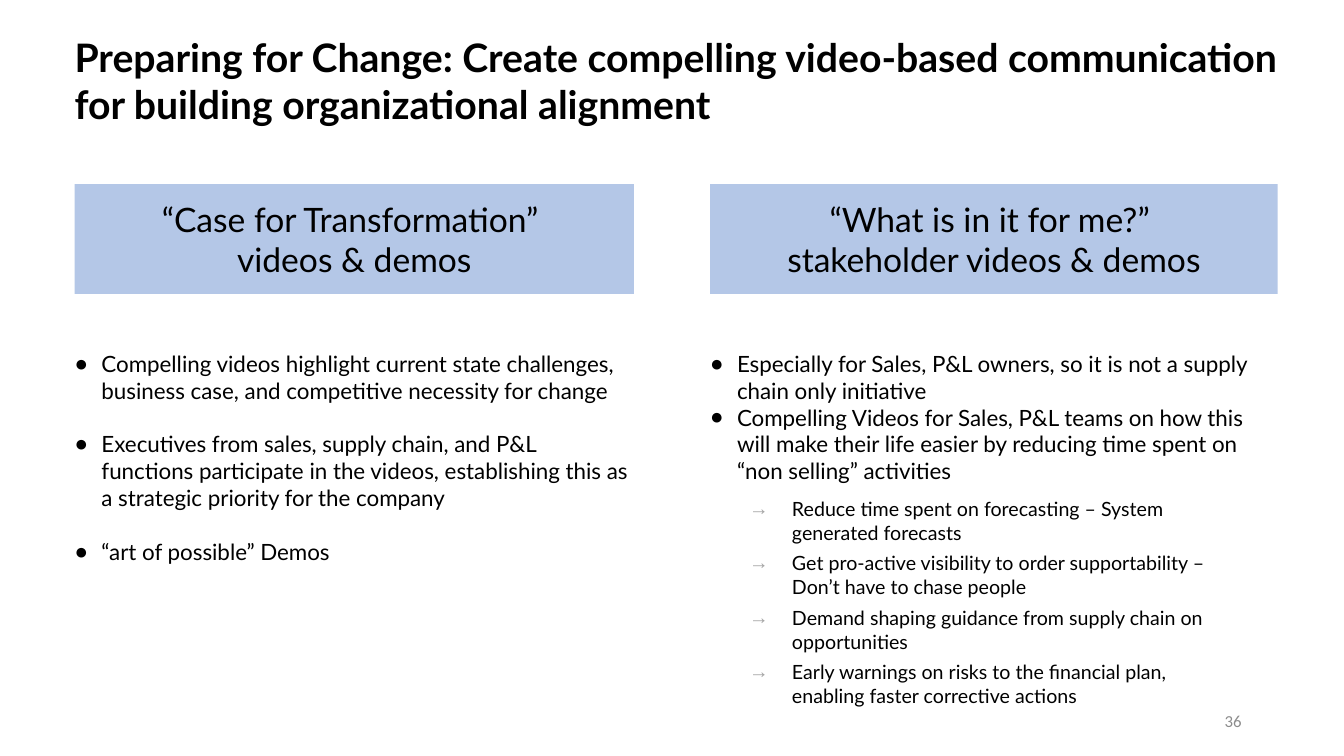
from dataclasses import dataclass

from lxml.etree import SubElement
from pptx import Presentation
from pptx.dml.color import RGBColor as RGB
from pptx.enum.shapes import MSO_SHAPE as Shape
from pptx.enum.text import MSO_ANCHOR as Anchor, PP_ALIGN as Align
from pptx.oxml.ns import qn
from pptx.util import Pt


@dataclass(frozen=True)
class Theme:
    text_font: str = "Lato"
    number_font: str = "Calibri"
    ink: RGB = RGB(0, 0, 0)
    panel: RGB = RGB(0xB4, 0xC7, 0xE7)
    arrow: RGB = RGB(0xA5, 0xA5, 0xA5)
    number: RGB = RGB(0x8C, 0x8C, 0x8C)
    title_size: int = 28
    heading_size: int = 24
    body_size: int = 16
    detail_size: int = 14
    number_size: int = 12


class SlideBuilder:
    def __init__(self, slide, theme):
        self.slide = slide
        self.theme = theme

    def style(self, para, size, color=None, name=None, bold=False):
        font = para.font
        font.size = Pt(size)
        font.name = name or self.theme.text_font
        font.color.rgb = color or self.theme.ink
        font.bold = bold

    def text_box(self, left, top, width, height, inset=(0, 0)):
        """Add an empty wrapping box; inset is (horizontal, vertical)."""
        box = self.slide.shapes.add_textbox(Pt(left), Pt(top), Pt(width), Pt(height))
        frame = box.text_frame
        frame.word_wrap = True
        frame.margin_left = frame.margin_right = Pt(inset[0])
        frame.margin_top = frame.margin_bottom = Pt(inset[1])
        return frame

    def title(self, text, left, top, width, height):
        para = self.text_box(left, top, width, height).paragraphs[0]
        para.text = text
        self.style(para, self.theme.title_size, bold=True)

    def heading(self, text, left, top, width, height):
        panel = self.slide.shapes.add_shape(
            Shape.RECTANGLE, Pt(left), Pt(top), Pt(width), Pt(height))
        panel.shadow.inherit = False
        panel.fill.solid()
        panel.fill.fore_color.rgb = self.theme.panel
        panel.line.fill.background()
        panel.text_frame.vertical_anchor = Anchor.MIDDLE
        para = panel.text_frame.paragraphs[0]
        para.text = text
        para.alignment = Align.CENTER
        self.style(para, self.theme.heading_size)

    def bullets(self, items, place, size, mark, mark_color, indent, gap=0, inset=(0, 0)):
        """Fill a box with hanging bullets, gap points apart."""
        frame = self.text_box(*place, inset=inset)
        for index, item in enumerate(items):
            para = frame.paragraphs[0] if index == 0 else frame.add_paragraph()
            para.text = item
            if index and gap:
                para.space_before = Pt(gap)
            props = para._p.get_or_add_pPr()
            props.set("marL", str(Pt(indent)))
            props.set("indent", str(-Pt(indent)))
            color = SubElement(props, qn("a:buClr"))
            SubElement(color, qn("a:srgbClr"), val=str(mark_color))
            SubElement(props, qn("a:buFont"), typeface="Arial")
            SubElement(props, qn("a:buChar"), char=mark)
            self.style(para, size)

    def page_number(self, text, left, top, width, height):
        frame = self.text_box(left, top, width, height, inset=(7.2, 3.6))
        frame.vertical_anchor = Anchor.MIDDLE
        para = frame.paragraphs[0]
        para.text = text
        para.alignment = Align.RIGHT
        self.style(para, self.theme.number_size, self.theme.number, self.theme.number_font)


CASE_POINTS = [
    "Compelling videos highlight current state challenges, business case, "
    "and competitive necessity for change",
    "Executives from sales, supply chain, and P&L functions participate in the videos, "
    "establishing this as a strategic priority for the company",
    "“art of possible” Demos",
]
STAKEHOLDER_POINTS = [
    "Especially for Sales, P&L owners, so it is not a supply chain only initiative",
    "Compelling Videos for Sales, P&L teams on how this will make their life easier "
    "by reducing time spent on “non selling” activities",
]
BENEFITS = [
    "Reduce time spent on forecasting – System generated forecasts",
    "Get pro-active visibility to order supportability – Don’t have to chase people",
    "Demand shaping guidance from supply chain on opportunities",
    "Early warnings on risks to the financial plan, enabling faster corrective actions",
]
# Each column: left, width, heading, points, height of the points, gap between them
COLUMNS = [
    (53.3, 399.5, "“Case for Transformation” \vvideos & demos", CASE_POINTS, 224, 19.2),
    (507.3, 405.3, "“What is in it for me?” \vstakeholder videos & demos",
     STAKEHOLDER_POINTS, 110, 0),
]


def main():
    deck = Presentation()
    deck.slide_width, deck.slide_height = Pt(960), Pt(540)
    theme = Theme()
    page = SlideBuilder(deck.slides.add_slide(deck.slide_layouts[6]), theme)

    page.title("Preparing for Change: Create compelling video-based communication "
               "for building organizational alignment", 53.3, 24, 860, 42.5)
    for left, width, heading, points, height, gap in COLUMNS:
        page.heading(heading, left, 131.5, width, 78.5)
        page.bullets(points, (left, 250, width, height), theme.body_size,
                     "●", theme.ink, indent=19.2, gap=gap)
    page.bullets(BENEFITS, (528, 351.4, 363.6, 158.4), theme.detail_size,
                 "→", theme.arrow, indent=30.6, gap=5.3, inset=(7.2, 3.6))
    page.page_number("36", 678, 500.5, 216, 28.8)
    deck.save("out.pptx")


if __name__ == "__main__":
    main()
